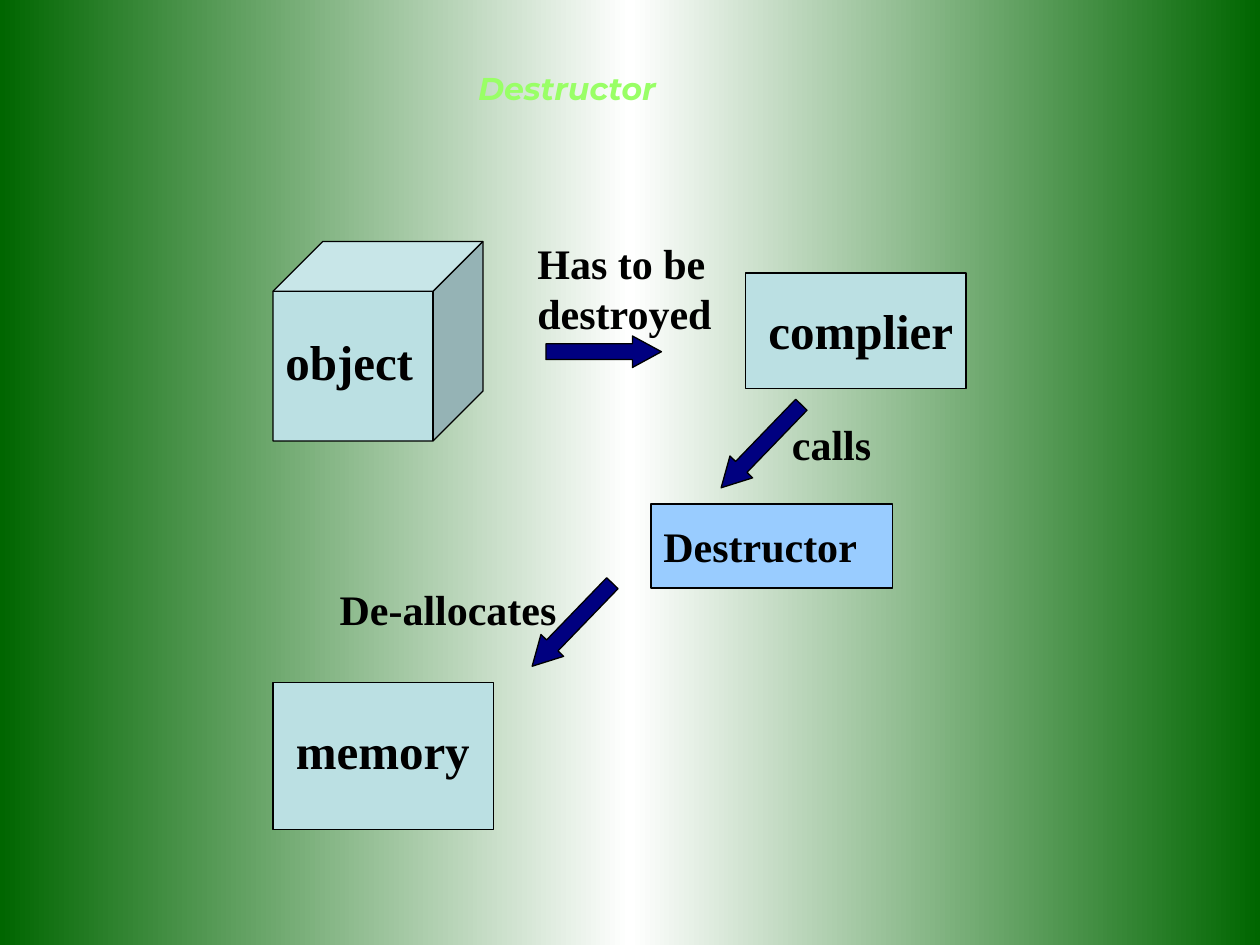
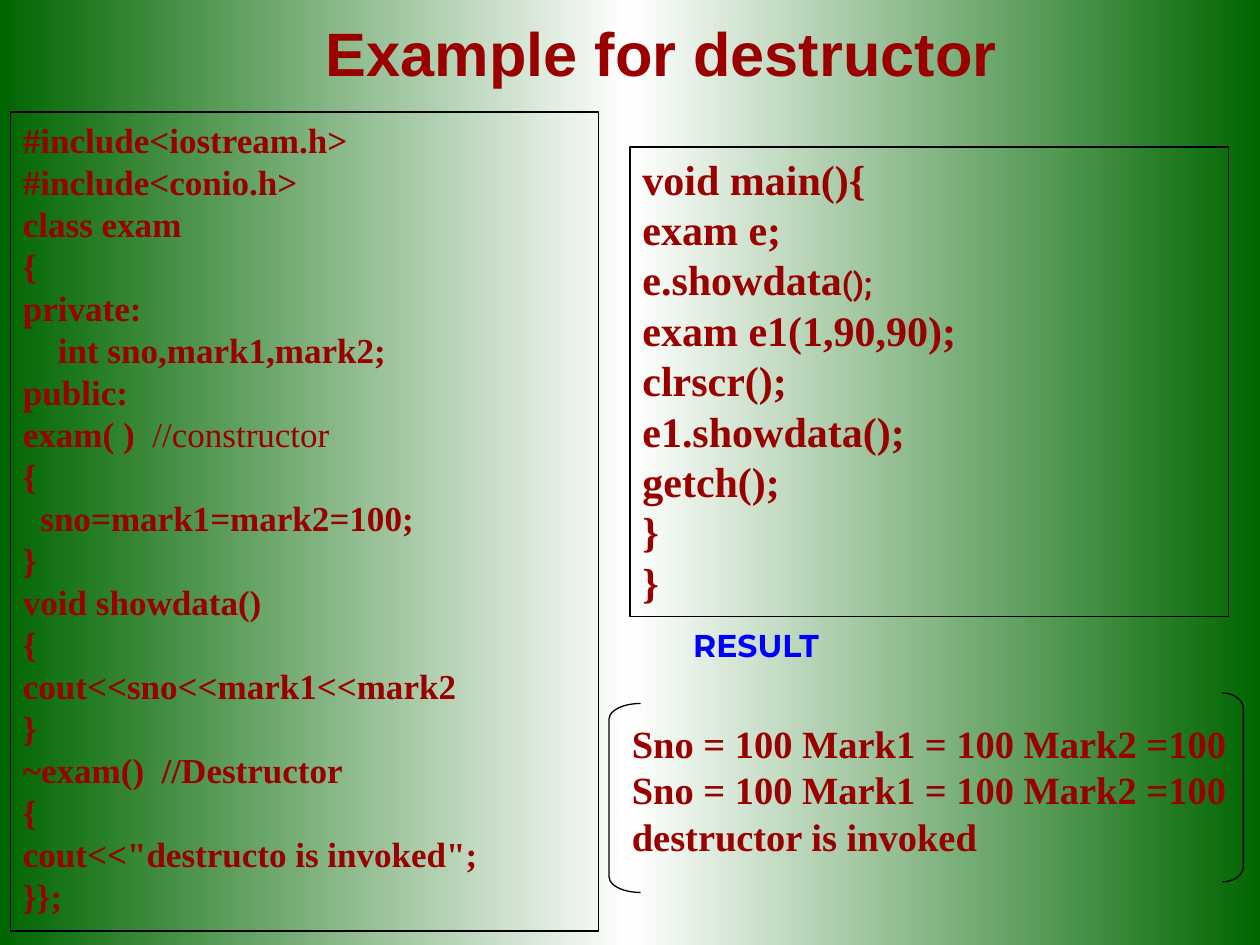
from copy import deepcopy
from dataclasses import dataclass

from pptx import Presentation
from pptx.dml.color import RGBColor
from pptx.enum.shapes import MSO_SHAPE as Preset
from pptx.enum.text import MSO_ANCHOR as Anchor, MSO_AUTO_SIZE as AutoSize, PP_ALIGN as Align
from pptx.oxml.ns import qn
from pptx.util import Pt

COLORS = {
    "green": "006600", "white": "FFFFFF", "black": "000000", "navy": "000080",
    "teal": "BBE0E3", "sky": "99CCFF", "lime": "99FF66", "maroon": "990000",
    "blue": "0000FF",
}
SERIF = "Times New Roman"
DISPLAY = "Montserrat"
SMALL_SIZE, LARGE_SIZE = 24, 28


@dataclass(frozen=True)
class Box:
    left: float
    top: float
    width: float
    height: float

    def lengths(self) -> tuple:
        return Pt(self.left), Pt(self.top), Pt(self.width), Pt(self.height)


@dataclass(frozen=True)
class Style:
    size: float
    color: str
    font: str = SERIF
    bold: bool = True
    italic: bool = False


@dataclass(frozen=True)
class Figure:
    preset: Preset
    box: Box
    fill: str | None = None
    adjustments: tuple = ()
    rotation: float = 0


@dataclass(frozen=True)
class Label:
    text: str
    box: Box
    size: float


def arrow(left: float, top: float, rotation: float = 0) -> Figure:
    return Figure(Preset.RIGHT_ARROW, Box(left, top, 66, 18), "navy", (0.5, 0.92), rotation)


DIAGRAM = [
    Figure(Preset.RECTANGLE, Box(372, 288, 138, 48), "sky"),
    Figure(Preset.CUBE, Box(156, 138, 120, 114), "teal", (0.25,)),
    Figure(Preset.RECTANGLE, Box(426, 156, 126, 66), "teal"),
    Figure(Preset.RECTANGLE, Box(156, 390, 126, 84), "teal"),
    arrow(312, 192),
    arrow(402, 246, 134),
    arrow(294, 348, 134),
]
LABELS = [
    Label("Destructor", Box(372, 294, 126, 36), SMALL_SIZE),
    Label("object", Box(156, 186, 90, 41), LARGE_SIZE),
    Label("Has to be destroyed", Box(300, 132, 126, 65), SMALL_SIZE),
    Label("complier", Box(432, 168, 132, 41), LARGE_SIZE),
    Label("memory", Box(162, 408, 114, 41), LARGE_SIZE),
    Label("De-allocates", Box(187, 330, 150, 36), SMALL_SIZE),
    Label("calls", Box(445.5, 235.5, 78, 36), SMALL_SIZE),
]
CLASS_CODE = """#include<iostream.h>
#include<conio.h>
class exam
{
private:
    int sno,mark1,mark2;
public:
exam( )  //constructor
{
  sno=mark1=mark2=100;
}
void showdata()
{
cout<<sno<<mark1<<mark2
}
~exam()  //Destructor
{
cout<<"destructo is invoked";
}};"""
MAIN_CODE = """void main(){
exam e;
e.showdata();
exam e1(1,90,90);
clrscr();
e1.showdata();
getch();
}
}"""
OUTPUT = """Sno = 100 Mark1 = 100 Mark2 =100
Sno = 100 Mark1 = 100 Mark2 =100
destructor is invoked"""
BRACKETS = [
    Figure(Preset.LEFT_BRACKET, Box(348, 402, 18, 108), adjustments=(0.5,)),
    Figure(Preset.RIGHT_BRACKET, Box(698.5, 396, 12, 108), adjustments=(0.75,)),
]


def rgb(name: str) -> RGBColor:
    return RGBColor.from_string(COLORS[name])


def paint_background(master) -> None:
    """Give every slide the green, white, green gradient."""
    fill = master.background.fill
    fill.gradient()
    fill.gradient_angle = 0
    stop_list = master.element.find(".//" + qn("a:gsLst"))
    stop_list.append(deepcopy(stop_list[-1]))
    for index, (stop, color) in enumerate(zip(fill.gradient_stops, ("green", "white", "green"))):
        stop.position = index / 2
        stop.color.rgb = rgb(color)


def format_run(run, style: Style) -> None:
    font = run.font
    font.name, font.size = style.font, Pt(style.size)
    font.bold, font.italic = style.bold, style.italic
    font.color.rgb = rgb(style.color)


def write(shape, text: str, style: Style, align: Align = Align.LEFT,
          anchor: Anchor = Anchor.TOP, wrap: bool = True) -> None:
    frame = shape.text_frame
    frame.text = text
    frame.word_wrap = wrap
    frame.auto_size = AutoSize.NONE
    frame.vertical_anchor = anchor
    for paragraph in frame.paragraphs:
        paragraph.alignment = align
        paragraph.space_before = Pt(0)
        for run in paragraph.runs:
            format_run(run, style)


def restyle_tail(shape, line: int, tail: str, style: Style) -> None:
    """Move the end of a line into a run of its own style."""
    paragraph = shape.text_frame.paragraphs[line]
    paragraph.runs[0].text = paragraph.runs[0].text.removesuffix(tail)
    run = paragraph.add_run()
    run.text = tail
    format_run(run, style)


def add_figure(slide, figure: Figure):
    shape = slide.shapes.add_shape(figure.preset, *figure.box.lengths())
    shape.shadow.inherit = False
    shape.rotation = figure.rotation
    for index, value in enumerate(figure.adjustments):
        shape.adjustments[index] = value
    if figure.fill:
        shape.fill.solid()
        shape.fill.fore_color.rgb = rgb(figure.fill)
    else:
        shape.fill.background()
    shape.line.color.rgb = rgb("black")
    shape.line.width = Pt(0.75)
    return shape


def add_text(slide, box: Box, text: str, style: Style, **layout) -> None:
    write(slide.shapes.add_textbox(*box.lengths()), text, style, **layout)


def add_code(slide, box: Box, code: str, size: float):
    shape = add_figure(slide, Figure(Preset.RECTANGLE, box))
    write(shape, code, Style(size, "maroon"))
    return shape


def add_titled_slide(presentation, box: Box, title: str, style: Style, **layout):
    slide = presentation.slides.add_slide(presentation.slide_layouts[5])
    shape = slide.shapes.title
    shape.left, shape.top, shape.width, shape.height = box.lengths()
    write(shape, title, style, align=Align.CENTER, **layout)
    return slide


def build_diagram_slide(presentation) -> None:
    slide = add_titled_slide(presentation, Box(186, 36, 276, 48), "Destructor",
                             Style(18, "lime", DISPLAY, italic=True))
    for figure in DIAGRAM:
        add_figure(slide, figure)
    for label in LABELS:
        add_text(slide, label.box, label.text, Style(label.size, "black"))


def build_example_slide(presentation) -> None:
    slide = add_titled_slide(presentation, Box(60, 0, 636, 66), "Example for destructor",
                             Style(35, "maroon", "Arial"), anchor=Anchor.MIDDLE)
    slide.shapes.title.text_frame.paragraphs[0].line_spacing = 0.85
    class_code = add_code(slide, Box(6, 64, 336, 468), CLASS_CODE, 20)
    restyle_tail(class_code, 7, " //constructor", Style(20, "maroon", bold=False))
    main_code = add_code(slide, Box(360, 84, 342, 268.5), MAIN_CODE, 24)
    restyle_tail(main_code, 2, "();", Style(18, "maroon", "Roboto"))
    add_text(slide, Box(360, 354, 144, 36), "RESULT", Style(18, "blue", DISPLAY),
             align=Align.CENTER, wrap=False)
    add_text(slide, Box(354, 408, 372, 87), OUTPUT, Style(22, "maroon"))
    for bracket in BRACKETS:
        add_figure(slide, bracket)


def main() -> None:
    presentation = Presentation()
    presentation.slide_width, presentation.slide_height = Pt(720), Pt(540)
    paint_background(presentation.slide_master)
    build_diagram_slide(presentation)
    build_example_slide(presentation)
    presentation.save("out.pptx")


if __name__ == "__main__":
    main()
